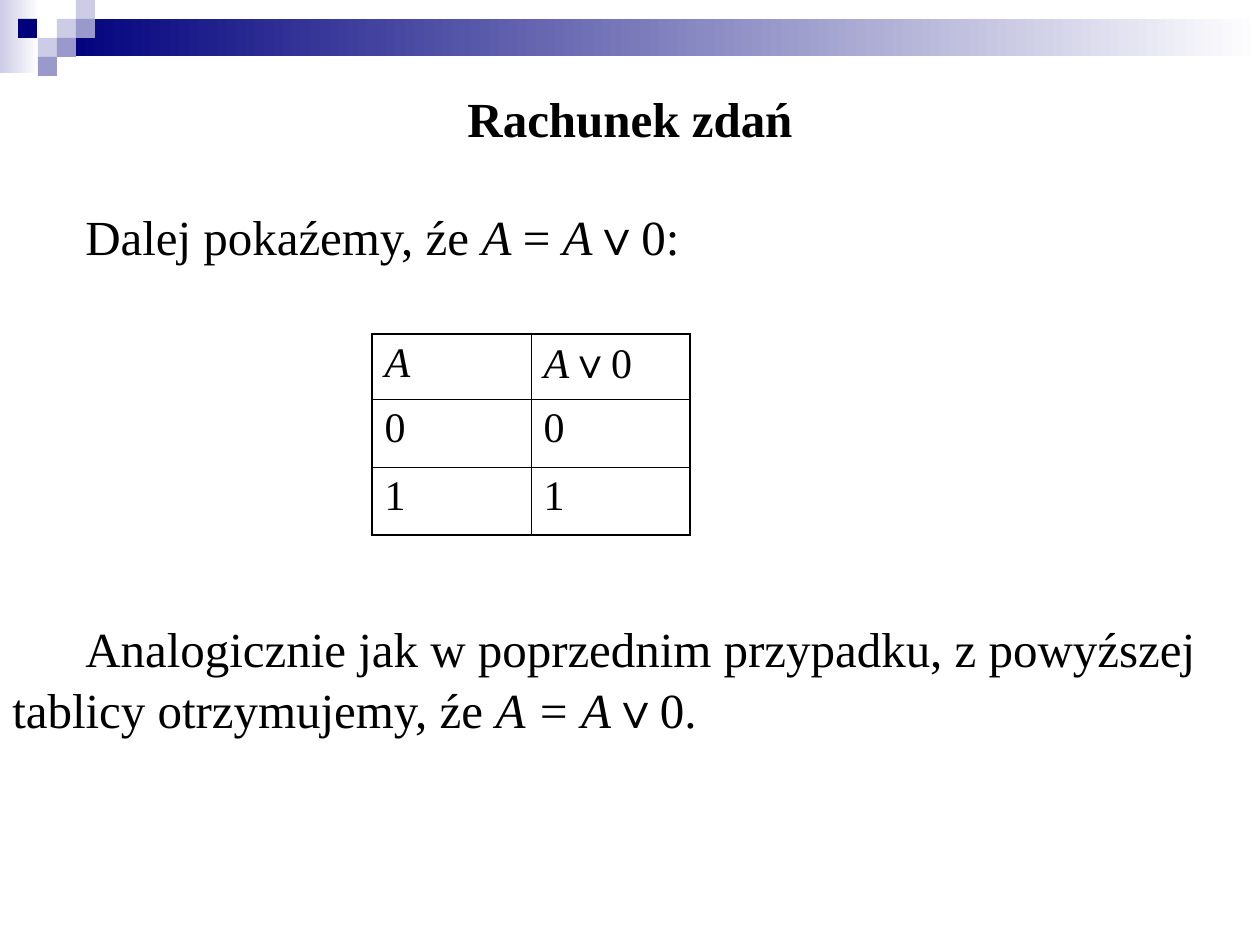
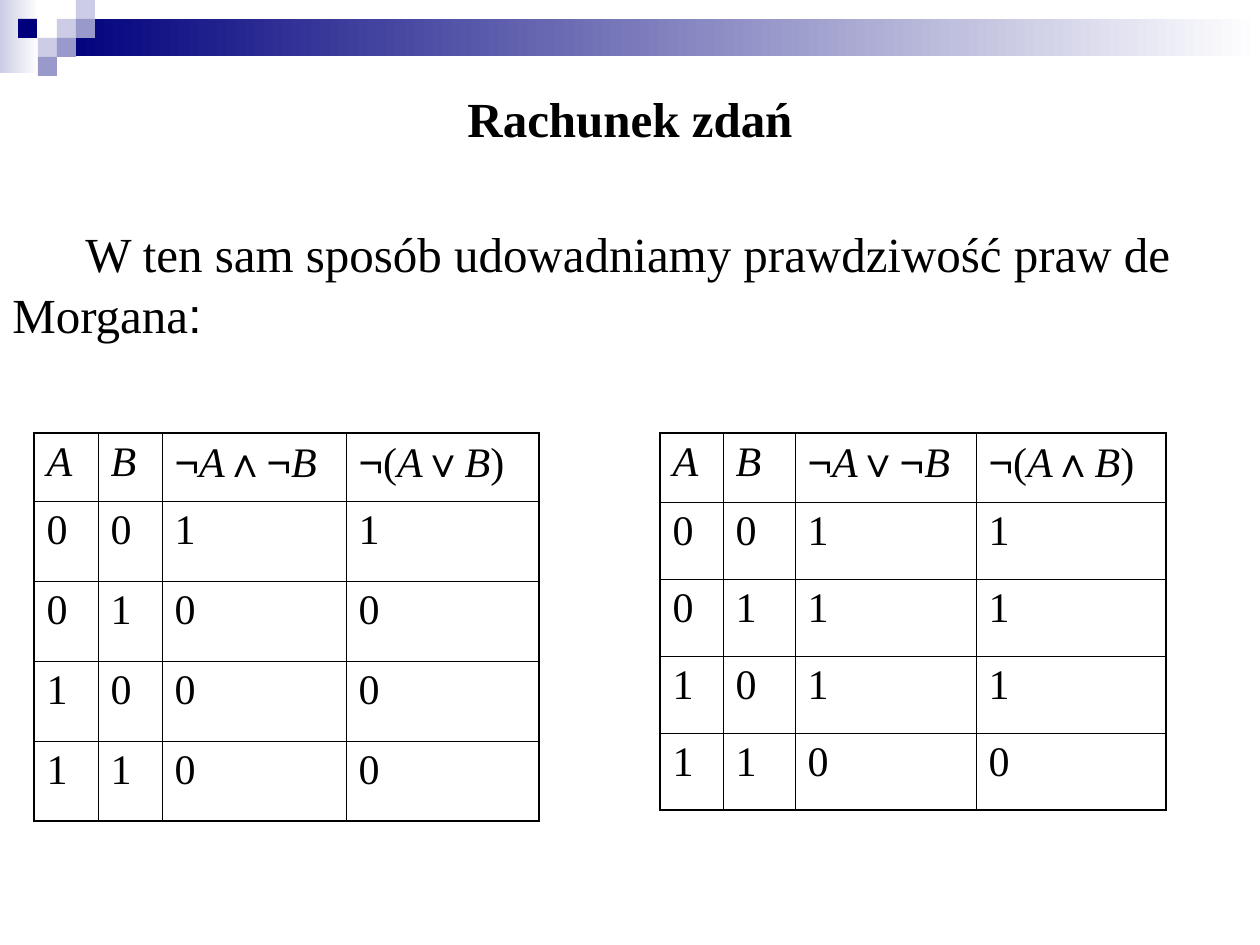
"""Build two slides on propositional calculus with truth tables."""
from itertools import groupby

from pptx import Presentation
from pptx.dml.color import RGBColor
from pptx.enum.shapes import MSO_SHAPE as SHAPE
from pptx.enum.text import PP_ALIGN as ALIGN
from pptx.oxml import parse_xml
from pptx.oxml.ns import nsdecls
from pptx.util import Emu, Pt

BLACK = RGBColor(0x00, 0x00, 0x00)
WHITE = RGBColor(0xFF, 0xFF, 0xFF)
NAVY = RGBColor(0x00, 0x00, 0x7D)
LILAC = RGBColor(0xCC, 0xCC, 0xE6)
VIOLET = RGBColor(0x99, 0x99, 0xCC)
SERIF, SANS = "Times New Roman", "Arial"
OUTER, INNER = Pt(1.08), Pt(0.45)

BANDS = [(0, 0, 39, 73, LILAC), (57, 19, 1203, 37, NAVY)]
TILE = 19
TILES = [(57, 19, LILAC), (76, 0, LILAC), (76, 19, VIOLET), (38, 38, LILAC),
         (18, 19, NAVY), (57, 38, VIOLET), (38, 57, VIOLET)]

TITLE = "Rachunek zdań"
SLIDES = [
    {
        "texts": [
            (197, 1, "Dalej pokaźemy, źe *A *= *A*∨0:", "∨"),
            (609, 2, "Analogicznie jak w poprzednim przypadku, z powyźszej "
                     "tablicy otrzymujemy, źe *A = A*∨0.", "∨"),
        ],
        "tables": [
            (372, 334, [159, 159], [65, 68, 68],
             [["*A*", "*A*∨0"], "00", "11"]),
        ],
    },
    {
        "texts": [
            (214, 2, "W ten sam sposób udowadniamy prawdziwość praw de Morgana:", ":"),
        ],
        "tables": [
            (34, 433, [64, 64, 184, 193], [68] + [80] * 4,
             [["*A*", "*B*", "¬*A*∧¬*B*", "¬(*A*∨*B*)"],
              "0011", "0100", "1000", "1100"]),
            (660, 433, [63, 72, 181, 190], [69] + [77] * 4,
             [["*A*", "*B*", "¬*A*∨¬*B*", "¬(*A*∧*B*)"],
              "0011", "0111", "1011", "1100"]),
        ],
    },
]


def px(n):
    return Emu(round(n * 914400 / 126))


def write(tf, text, size=28, bold=False, align=ALIGN.LEFT, indent=0,
          spacing=1.0, sans="∨∧¬"):
    """Write text, with *italic* parts and the characters in sans set in Arial."""
    p = tf.paragraphs[0]
    p.alignment = align
    p.line_spacing = spacing
    p._p.get_or_add_pPr().set("indent", str(px(indent)))
    for i, part in enumerate(text.split("*")):
        for is_sans, chars in groupby(part, lambda c: c in sans):
            r = p.add_run()
            r.text = "".join(chars)
            r.font.name = SANS if is_sans else SERIF
            r.font.size = Pt(size)
            r.font.bold = bold
            r.font.italic = i % 2 == 1
            r.font.color.rgb = BLACK


prs = Presentation()
prs.slide_width, prs.slide_height = px(1260), px(945)

for content in SLIDES:
    s = prs.slides.add_slide(prs.slide_layouts[6])

    for x, y, w, h, color in BANDS:
        sp = s.shapes.add_shape(SHAPE.RECTANGLE, px(x), px(y), px(w), px(h))
        sp.shadow.inherit = False
        sp.line.fill.background()
        sp.fill.gradient()
        sp.fill.gradient_angle = 0
        for stop, rgb in zip(sp.fill.gradient_stops, (color, WHITE)):
            stop.color.rgb = rgb
    for x, y, color in TILES:
        sp = s.shapes.add_shape(SHAPE.RECTANGLE, px(x), px(y), px(TILE), px(TILE))
        sp.shadow.inherit = False
        sp.line.fill.background()
        sp.fill.solid()
        sp.fill.fore_color.rgb = color

    title = (79, 1, TITLE, {"bold": True, "align": ALIGN.CENTER})
    body = [(y, n, text, {"indent": 73, "sans": sans})
            for y, n, text, sans in content["texts"]]
    for y, lines, text, style in [title] + body:
        tf = s.shapes.add_textbox(0, px(y), px(1260), px(59 * lines + 12)).text_frame
        tf.word_wrap = True
        write(tf, text, spacing=1.05, **style)

    for x, y, widths, heights, rows in content["tables"]:
        table = s.shapes.add_table(len(heights), len(widths), px(x), px(y),
                                   px(sum(widths)), px(sum(heights))).table
        table.first_row = table.horz_banding = False
        for column, w in zip(table.columns, widths):
            column.width = px(w)
        for row, h in zip(table.rows, heights):
            row.height = px(h)
        for i, values in enumerate(rows):
            for j, value in enumerate(values):
                cell = table.cell(i, j)
                edges = {"L": j == 0, "R": j == len(widths) - 1,
                         "T": i == 0, "B": i == len(heights) - 1}
                for side, is_outer in edges.items():
                    cell._tc.get_or_add_tcPr().append(parse_xml(
                        f'<a:ln{side} {nsdecls("a")} w="{OUTER if is_outer else INNER}">'
                        f'<a:solidFill><a:srgbClr val="{BLACK}"/></a:solidFill>'
                        f'</a:ln{side}>'))
                cell.fill.background()
                write(cell.text_frame, value, size=24)

prs.save("out.pptx")
